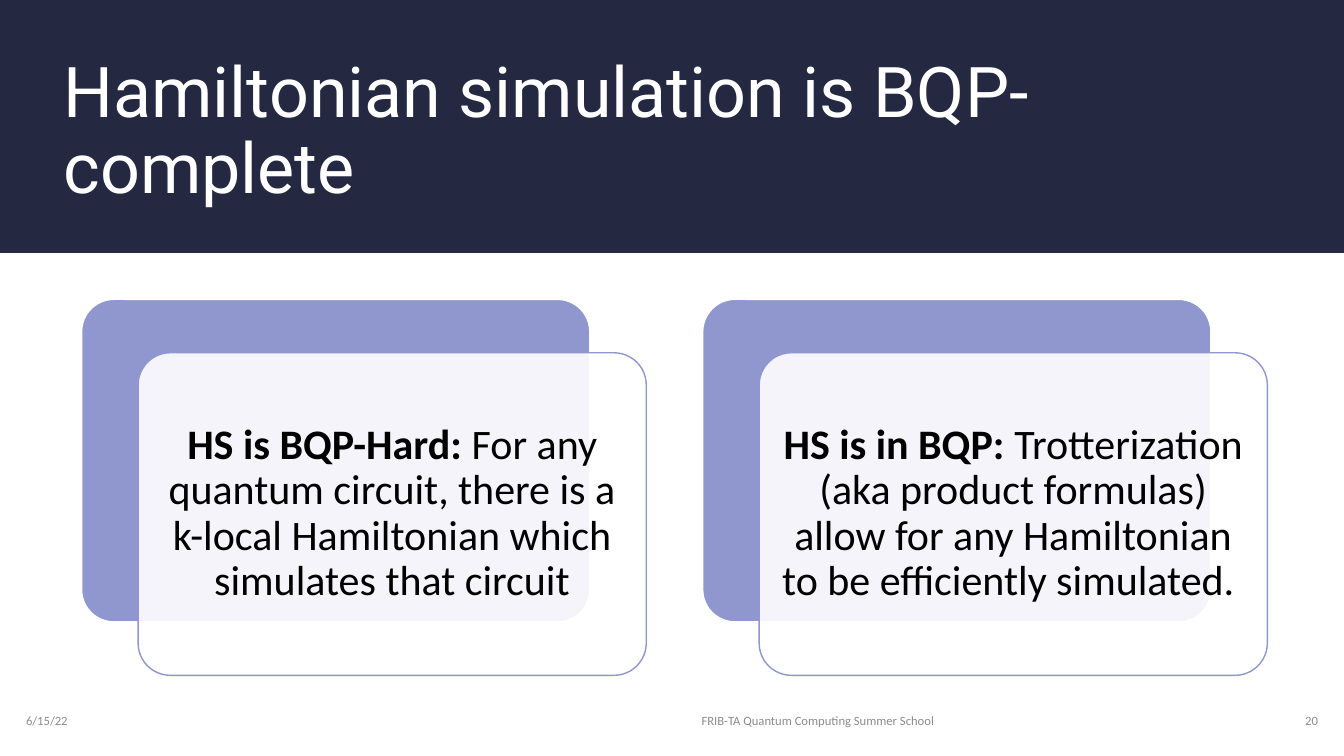
from lxml import etree
from pptx import Presentation
from pptx.dml.color import RGBColor
from pptx.enum import shapes as es, text as et
from pptx.oxml import ns
from pptx.util import Inches, Pt

COLORS = {"navy": "242841", "lilac": "8F97CE", "white": "FFFFFF",
          "black": "000000", "gray": "8C8C8C"}
CARDS = [
    ("HS is BQP-Hard:", " For any quantum circuit, there is a k-local "
     "Hamiltonian which simulates that circuit"),
    ("HS is in BQP: ", "Trotterization (aka product formulas) allow for any "
     "Hamiltonian to be efficiently simulated. "),
]
FOOTER = [
    (0.16, 3, "6/15/22", et.PP_ALIGN.LEFT),
    (6.86, 4.5, "FRIB-TA Quantum Computing Summer School", et.PP_ALIGN.LEFT),
    (11.77, 1.4, "20", et.PP_ALIGN.RIGHT),
]


def color(name):
    """Return the named palette color."""
    return RGBColor.from_string(COLORS[name])


def style(font, face, size, name):
    """Set the face, size and color of a font."""
    font.name, font.size = face, Pt(size)
    font.color.rgb = color(name)


def panel(slide, kind, box, fill, line=None):
    """Add a flat filled shape in the given box."""
    shape = slide.shapes.add_shape(kind, *map(Inches, box))
    shape.shadow.inherit = False
    shape.fill.solid()
    shape.fill.fore_color.rgb = color(fill)
    if line:
        shape.line.color.rgb = color(line)
        shape.line.width = Pt(1)
        shape.adjustments[0] = 0.1
    else:
        shape.line.fill.background()
    return shape


def header(slide, box):
    """Place the dark band with the title over it."""
    left, top, width, height = box
    band = panel(slide, es.MSO_SHAPE.RECTANGLE, box, "navy")
    title = slide.shapes.title
    title.element.addprevious(band.element)
    title.left, title.top = Inches(left + 0.53), Inches(top + 0.4)
    title.width, title.height = Inches(width - 1.44), Inches(height - 0.79)
    frame = title.text_frame
    frame.text = "Hamiltonian simulation is BQP-complete"
    frame.auto_size = et.MSO_AUTO_SIZE.NONE
    frame.word_wrap = True
    frame.vertical_anchor = et.MSO_ANCHOR.BOTTOM
    para = frame.paragraphs[0]
    para.alignment, para.line_spacing = et.PP_ALIGN.LEFT, 0.9
    style(para.font, "Roboto", 50, "white")


def card(slide, box, lead, body):
    """Place a lilac card with a translucent text card offset over it."""
    left, top, width, height = box
    wide, high = width - 0.56, height - 0.53
    kind = es.MSO_SHAPE.ROUNDED_RECTANGLE
    panel(slide, kind, (left, top, wide, high), "lilac", "white")
    front = panel(slide, kind, (left + 0.56, top + 0.53, wide, high),
                  "white", "lilac")
    tint = front.element.spPr.find(ns.qn("a:solidFill"))[0]
    etree.SubElement(tint, ns.qn("a:alpha")).set("val", "90000")
    frame = front.text_frame
    frame.word_wrap = True
    frame.vertical_anchor = et.MSO_ANCHOR.MIDDLE
    frame.margin_left = frame.margin_right = Inches(0.12)
    frame.margin_top = frame.margin_bottom = Inches(0.12)
    para = frame.paragraphs[0]
    para.alignment, para.line_spacing = et.PP_ALIGN.CENTER, 0.9
    style(para.font, "Calibri", 30, "black")
    for words, bold in ((lead, True), (body, False)):
        run = para.add_run()
        run.text, run.font.bold = words, bold


def footer(slide, top, height):
    """Place the date, event name and slide number in a row."""
    for left, width, words, align in FOOTER:
        box = slide.shapes.add_textbox(*map(Inches, (left, top, width, height)))
        frame = box.text_frame
        frame.text, frame.word_wrap = words, True
        frame.vertical_anchor = et.MSO_ANCHOR.MIDDLE
        para = frame.paragraphs[0]
        para.alignment = align
        para.space_after = Pt(6)
        style(para.font, "Calibri", 9, "gray")


def main():
    """Build and save the slide."""
    deck = Presentation()
    deck.slide_width, deck.slide_height = Inches(13.33), Inches(7.5)
    slide = deck.slides.add_slide(deck.slide_layouts[5])
    header(slide, (0, 0, 13.33, 2.51))
    footer(slide, 6.95, 0.4)
    for i, (lead, body) in enumerate(CARDS):
        card(slide, (0.81 + 6.16 * i, 2.97, 5.6, 3.73), lead, body)
    deck.save("out.pptx")


if __name__ == "__main__":
    main()
